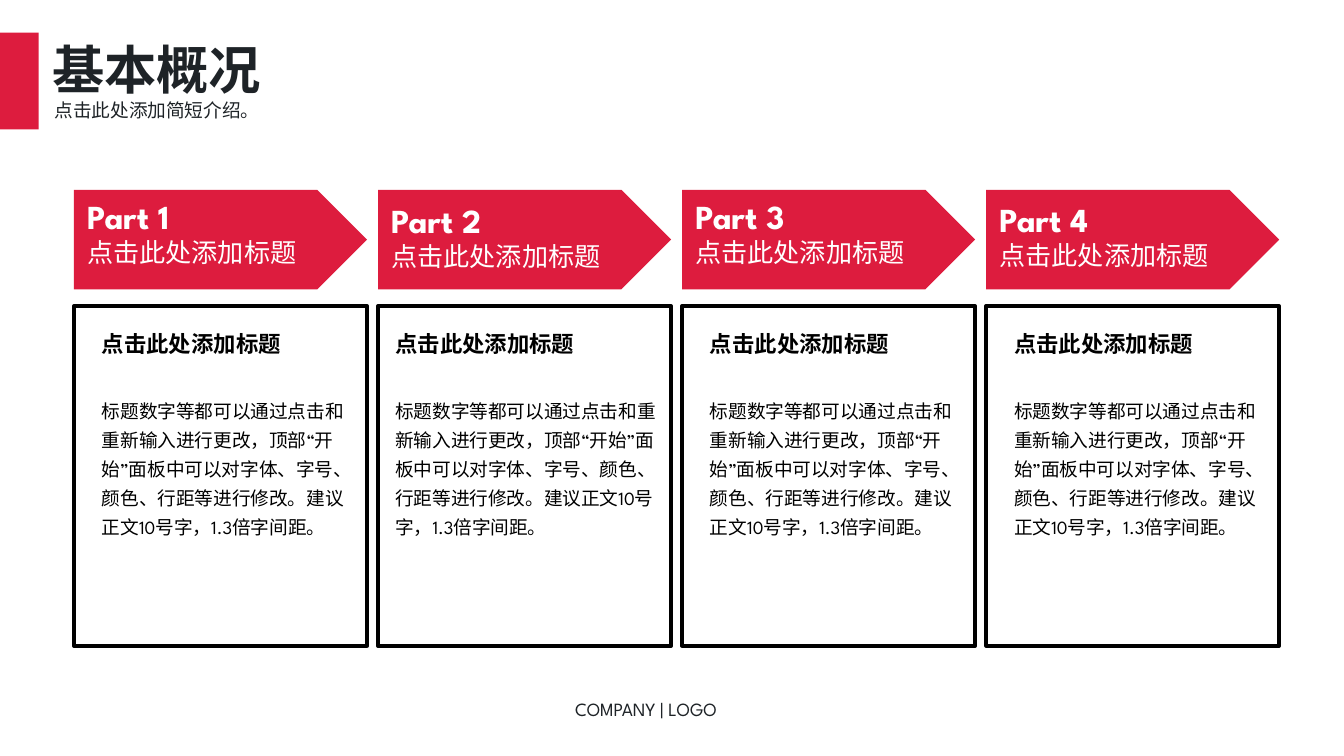
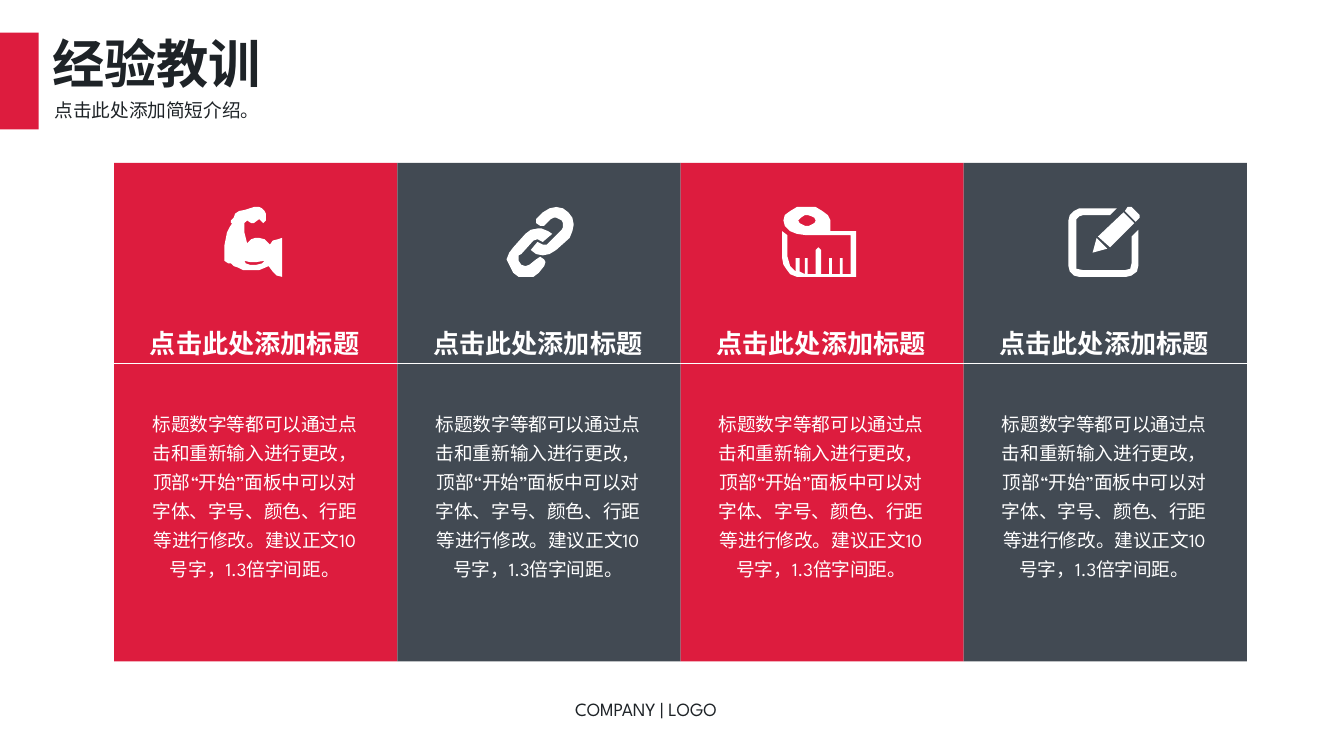
from dataclasses import dataclass

from lxml.etree import SubElement
from pptx import Presentation
from pptx.dml.color import RGBColor
from pptx.enum.shapes import MSO_CONNECTOR, MSO_SHAPE
from pptx.enum.text import MSO_AUTO_SIZE, PP_ALIGN
from pptx.oxml.ns import qn
from pptx.util import Pt

FONT = "League Spartan"
RED, SLATE, INK, BLACK, WHITE = "DD1C3E", "424A53", "1E2327", "000000", "FFFFFF"
HEADING = "点击此处添加标题"
BODY = (
    "标题数字等都可以通过点击和重新输入进行更改，顶部“开始”面板中可以对字体、字号、"
    "颜色、行距等进行修改。建议正文10号字，1.3倍字间距。"
)
ICON_UNIT = Pt(0.72)

ARM = (
    ((15, 40), (16, 42), (19, 43), (24, 43), (28, 42), (30, 40), (24, 41), (19, 41)),
    ((26, 0), (28, 1), (30, 3), (31, 5), (31, 10), (29, 12), (27, 10), (26, 9), (22, 12),
     (20, 12), (17, 10), (15, 12), (15, 19), (17, 27), (20, 24), (23, 23), (26, 23),
     (30, 24), (34, 28), (36, 25), (40, 24), (43, 23), (43, 52), (39, 51), (36, 48),
     (33, 44), (26, 47), (14, 47), (10, 45), (7, 44), (5, 42), (3, 42), (0, 40), (0, 29),
     (2, 19), (4, 15), (6, 12), (5, 12), (5, 10), (7, 8), (8, 5), (11, 3), (16, 2), (22, 0)),
)
LINK = (
    ((23, 16), (26, 16), (31, 18), (34, 20), (27, 26), (23, 24), (20, 25), (11, 35), (9, 36),
     (9, 40), (11, 43), (14, 44), (17, 43), (22, 39), (25, 37), (28, 39), (29, 41), (28, 44),
     (24, 49), (20, 52), (9, 52), (5, 49), (2, 43), (0, 39), (2, 34), (5, 30), (14, 20),
     (18, 17)),
    ((37, 0), (42, 1), (46, 4), (49, 8), (50, 13), (49, 18), (47, 23), (37, 32), (32, 35),
     (27, 36), (22, 35), (18, 32), (23, 26), (27, 28), (30, 28), (41, 17), (42, 15), (42, 12),
     (41, 10), (37, 8), (35, 8), (33, 9), (28, 14), (25, 14), (22, 12), (22, 9), (27, 4),
     (32, 1)),
)
TAPE = (
    ((19, 6), (17, 6), (14, 8), (12, 10), (13, 12), (17, 14), (20, 14), (24, 12), (25, 10),
     (24, 8), (22, 7)),
    ((19, 0), (25, 0), (30, 3), (34, 6), (36, 10), (36, 18), (55, 18), (55, 52), (11, 52),
     (6, 50), (3, 46), (1, 43), (0, 38), (0, 18), (4, 21), (4, 37), (6, 44), (10, 48),
     (10, 38), (13, 38), (13, 48), (17, 50), (17, 38), (19, 38), (19, 50), (25, 50), (25, 32),
     (27, 30), (29, 32), (29, 50), (35, 50), (35, 38), (37, 38), (37, 50), (43, 50), (43, 38),
     (45, 38), (45, 50), (51, 50), (51, 21), (18, 21), (11, 20), (6, 18), (2, 14), (1, 10),
     (2, 6), (6, 3), (11, 0)),
)
PENCIL = (
    ((21, 23), (29, 31), (18, 34)),
    ((41, 4), (49, 12), (31, 30), (22, 22)),
    ((8, 1), (36, 1), (31, 6), (11, 6), (8, 7), (6, 9), (6, 46), (11, 47), (42, 47), (46, 46),
     (47, 42), (47, 22), (52, 17), (52, 44), (51, 48), (47, 51), (43, 52), (8, 52), (4, 51),
     (1, 48), (0, 44), (0, 10), (1, 6), (4, 3)),
    ((46, 0), (47, 0), (53, 6), (53, 8), (50, 11), (42, 3), (44, 0)),
)


@dataclass(frozen=True)
class Box:
    """A rectangle in points."""

    left: float
    top: float
    width: float
    height: float

    def emu(self) -> tuple:
        """Return the four lengths for python-pptx."""
        return Pt(self.left), Pt(self.top), Pt(self.width), Pt(self.height)


@dataclass(frozen=True)
class Part:
    """One arrow with its card and their text offsets."""

    label: str
    label_top: float
    text_inset: float
    text_width: float


@dataclass(frozen=True)
class Panel:
    """One coloured column with its icon."""

    fill: str
    icon: tuple
    icon_left: float


PARTS = (
    Part("Part 1", 101.5, 7.9, 149),
    Part("Part 2", 103.7, 2.2, 154.8),
    Part("Part 3", 101.5, 7.9, 149),
    Part("Part 4", 103, 7.9, 149),
)
PANELS = (
    Panel(RED, ARM, 120.2),
    Panel(SLATE, LINK, 271.4),
    Panel(RED, TAPE, 419),
    Panel(SLATE, PENCIL, 572.4),
)


def rgb(value: str) -> RGBColor:
    """Turn a hex string into a colour."""
    return RGBColor.from_string(value)


def paint(shape, fill: str | None = None, line: str | None = None) -> None:
    """Set fill and outline, and remove the shadow."""
    shape.shadow.inherit = False
    if fill:
        shape.fill.solid()
        shape.fill.fore_color.rgb = rgb(fill)
    else:
        shape.fill.background()
    if line:
        shape.line.color.rgb = rgb(line)
        shape.line.width = Pt(2)
    else:
        shape.line.fill.background()


def add_block(s, kind: MSO_SHAPE, box: Box, fill: str | None = None, line: str | None = None) -> None:
    """Add a painted preset shape."""
    paint(s.shapes.add_shape(kind, *box.emu()), fill, line)


def add_frame(s, box: Box):
    """Add a wrapping text box and return its frame."""
    tf = s.shapes.add_textbox(*box.emu()).text_frame
    tf.word_wrap = True
    tf.auto_size = MSO_AUTO_SIZE.SHAPE_TO_FIT_TEXT
    return tf


def write(tf, text: str, *, size: float = 10, color: str = INK, bold: bool = False,
          spacing: float | None = None, after: float = 0,
          align: PP_ALIGN = PP_ALIGN.LEFT) -> None:
    """Write one formatted paragraph at the end of a frame."""
    p = tf.add_paragraph() if tf.text else tf.paragraphs[0]
    p.alignment = align
    p.space_after = Pt(after)
    if spacing:
        p.line_spacing = spacing
    r = p.add_run()
    r.text = text
    r.font.size = Pt(size)
    r.font.bold = bold
    r.font.color.rgb = rgb(color)
    r.font.name = FONT
    SubElement(r.font._element, qn("a:ea"), typeface=FONT)


def add_icon(s, outlines: tuple, left: float, top: float) -> None:
    """Add a white icon from closed outlines on the icon grid."""
    first, *others = outlines
    builder = s.shapes.build_freeform(*first[0], scale=ICON_UNIT)
    builder.add_line_segments(first[1:], close=True)
    for outline in others:
        builder.move_to(*outline[0])
        builder.add_line_segments(outline[1:], close=True)
    paint(builder.convert_to_shape(Pt(left), Pt(top)), WHITE)


def add_rule(s, left: float, right: float, y: float) -> None:
    """Add a thin white horizontal line."""
    line = s.shapes.add_connector(MSO_CONNECTOR.STRAIGHT, Pt(left), Pt(y), Pt(right), Pt(y))
    line.line.color.rgb = rgb(WHITE)
    line.line.width = Pt(0.75)
    SubElement(line._element.spPr, qn("a:effectLst"))


def new_slide(prs, title: str, title_width: float, title_spacing: float | None = None):
    """Add a blank slide with the shared header and footer."""
    s = prs.slides.add_slide(prs.slide_layouts[6])
    s.background.fill.solid()
    s.background.fill.fore_color.rgb = rgb(WHITE)
    add_block(s, MSO_SHAPE.RECTANGLE, Box(0, 17.5, 20.8, 51.8), RED)
    write(add_frame(s, Box(20.8, 13, title_width, 42)), title,
          size=28, bold=True, spacing=title_spacing)
    write(add_frame(s, Box(22.2, 49.7, 149, 19.4)), "点击此处添加简短介绍。")
    write(add_frame(s, Box(301, 366.5, 118.8, 23)), "COMPANY | LOGO", spacing=1.3)
    return s


def build_overview(prs) -> None:
    """Build the slide of four arrows above four cards."""
    s = new_slide(prs, "基本概况", 131, 1.1)
    for i, part in enumerate(PARTS):
        left = 39.6 + 162.9 * i
        tf = add_frame(s, Box(left + part.text_inset, 169.2, part.text_width, 123.8))
        write(tf, HEADING, size=12, color=BLACK, bold=True, spacing=1.3, after=19)
        write(tf, BODY, color=BLACK, spacing=1.3)
        add_block(s, MSO_SHAPE.PENTAGON, Box(left, 101.7, 157, 53.3), RED)
        add_block(s, MSO_SHAPE.RECTANGLE, Box(left, 164, 157, 182), line=BLACK)
        tf = add_frame(s, Box(left, part.label_top, 131.8, 46))
        write(tf, part.label, size=18, color=WHITE, bold=True)
        write(tf, HEADING, size=14, color=WHITE)


def build_lessons(prs) -> None:
    """Build the slide of four coloured columns with icons."""
    s = new_slide(prs, "经验教训", 233.3)
    for i, panel in enumerate(PANELS):
        left = 61.2 + 151.7 * i
        add_block(s, MSO_SHAPE.RECTANGLE, Box(left, 87.3, 151.7, 267), panel.fill)
        tf = add_frame(s, Box(left + 10.1, 167, 130.3, 148.3))
        write(tf, HEADING, size=14, color=WHITE, bold=True, spacing=1.3, after=25,
              align=PP_ALIGN.CENTER)
        write(tf, BODY, color=WHITE, spacing=1.3, align=PP_ALIGN.CENTER)
        add_icon(s, panel.icon, panel.icon_left, 110.9)
    add_rule(s, 45.4, 682.6, 194.6)


def main() -> None:
    """Build and save the presentation."""
    prs = Presentation()
    prs.slide_width, prs.slide_height = Pt(720), Pt(405)
    build_overview(prs)
    build_lessons(prs)
    prs.save("out.pptx")


if __name__ == "__main__":
    main()
